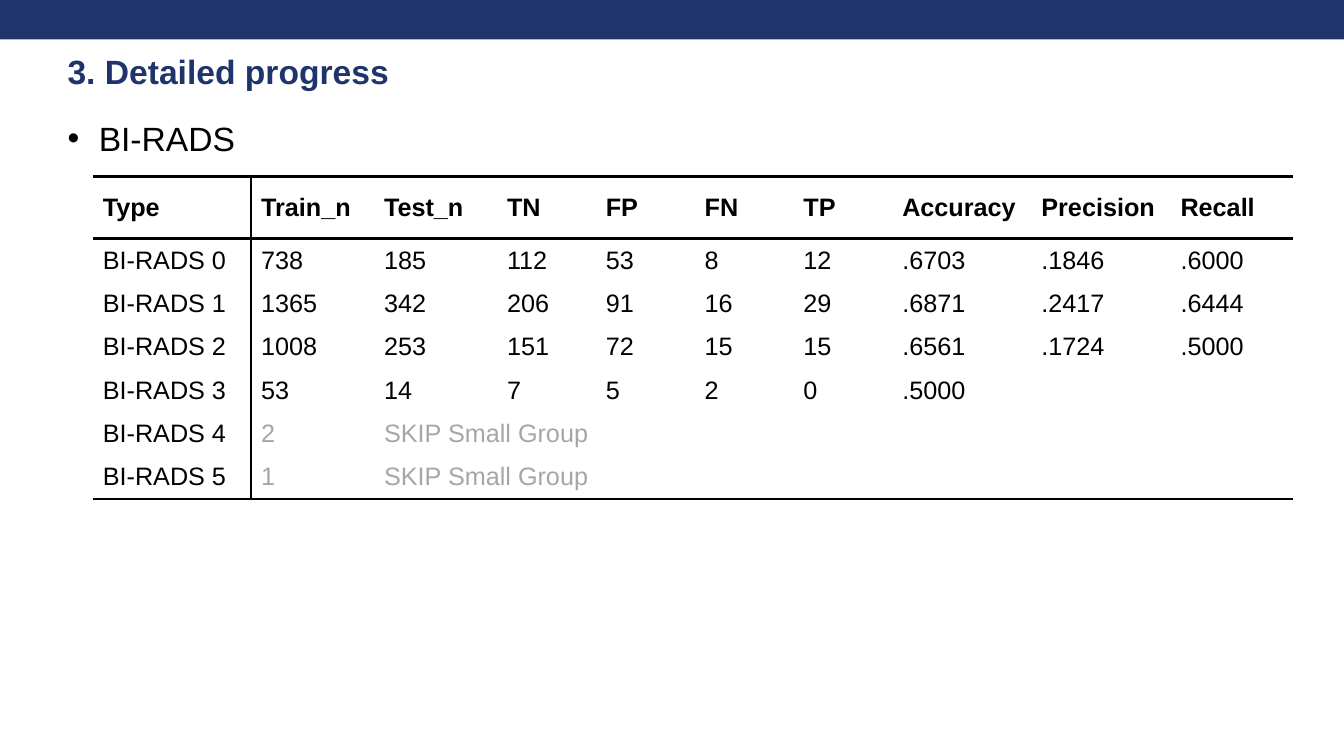
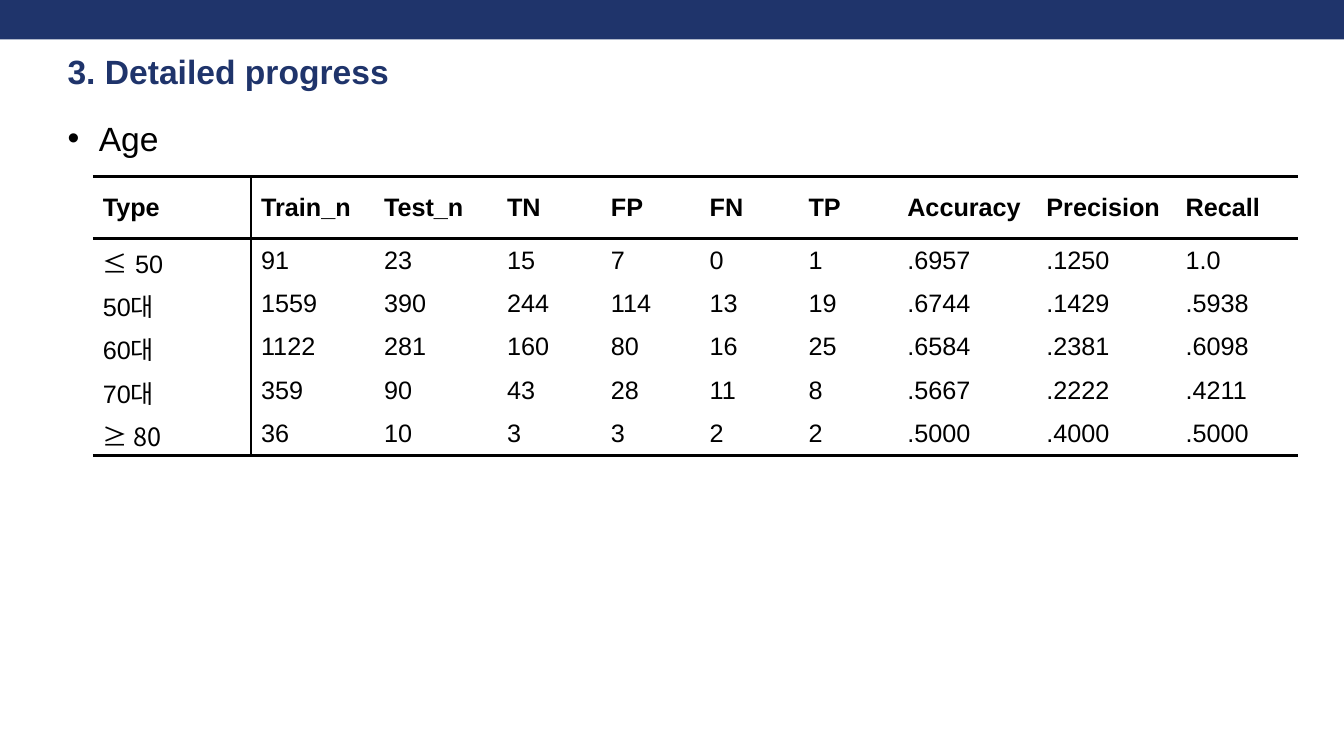
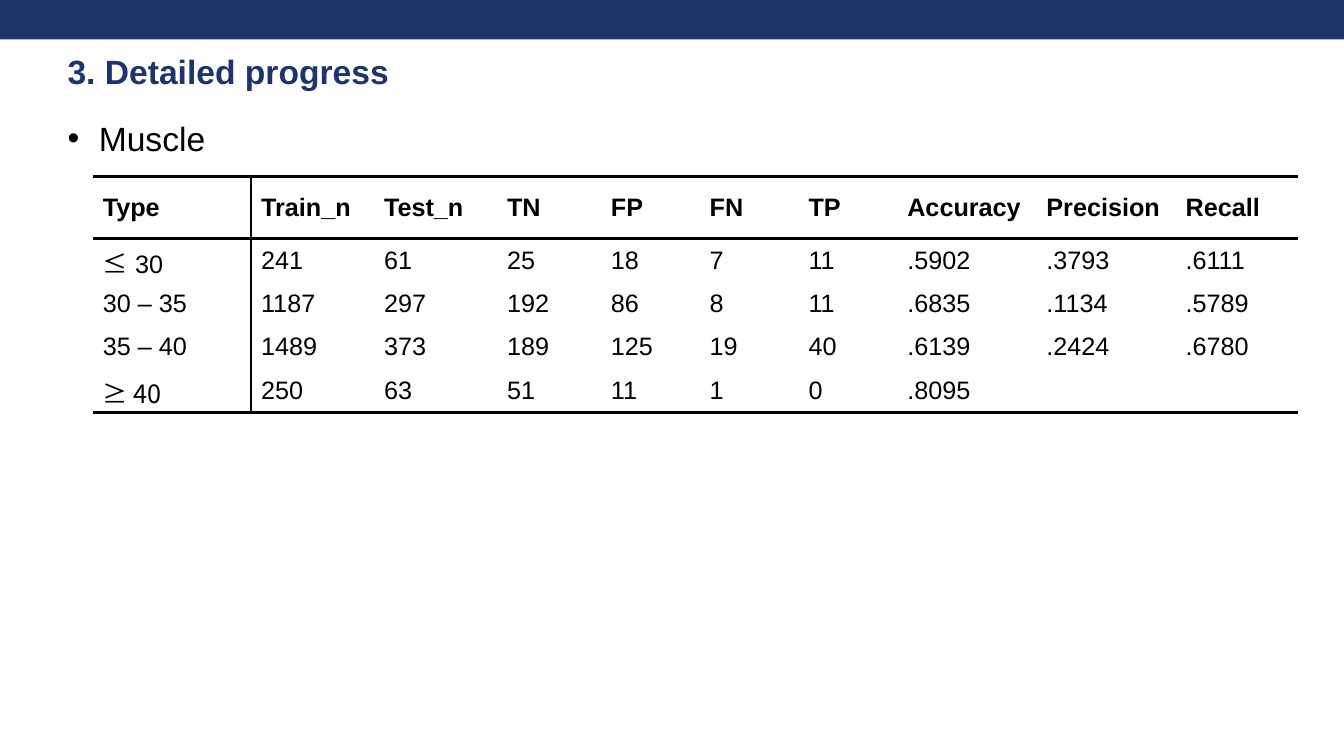
from dataclasses import dataclass

import pptx
import pptx.dml.color
import pptx.enum.shapes
import pptx.enum.text
import pptx.oxml
import pptx.oxml.ns
import pptx.util
from pptx.util import Inches


@dataclass(frozen=True)
class Theme:
    navy: str = "1F346B"
    black: str = "000000"
    muted: str = "A6A6A6"
    font: str = "Arial"
    symbol_font: str = "Noto Sans CJK KR"
    heading_size: int = 24
    table_size: int = 18
    thick_rule: float = 2.25
    thin_rule: float = 1


THEME = Theme()
SLIDE_WIDTH, SLIDE_HEIGHT = 13.33, 7.5
SKIPPED = "SKIP Small Group"
HEADER = ["Type", "Train_n", "Test_n", "TN", "FP", "FN", "TP",
          "Accuracy", "Precision", "Recall"]

BI_RADS_ROWS = [
    ["BI-RADS 0", "738", "185", "112", "53", "8", "12", ".6703", ".1846", ".6000"],
    ["BI-RADS 1", "1365", "342", "206", "91", "16", "29", ".6871", ".2417", ".6444"],
    ["BI-RADS 2", "1008", "253", "151", "72", "15", "15", ".6561", ".1724", ".5000"],
    ["BI-RADS 3", "53", "14", "7", "5", "2", "0", ".5000"],
    ["BI-RADS 4", "2", SKIPPED],
    ["BI-RADS 5", "1", SKIPPED],
]
AGE_ROWS = [
    [[("≤", THEME.symbol_font), (" 50", THEME.font)],
     "91", "23", "15", "7", "0", "1", ".6957", ".1250", "1.0"],
    ["50대", "1559", "390", "244", "114", "13", "19", ".6744", ".1429", ".5938"],
    ["60대", "1122", "281", "160", "80", "16", "25", ".6584", ".2381", ".6098"],
    ["70대", "359", "90", "43", "28", "11", "8", ".5667", ".2222", ".4211"],
    [[("≥ 80", THEME.symbol_font)],
     "36", "10", "3", "3", "2", "2", ".5000", ".4000", ".5000"],
]
MUSCLE_ROWS = [
    [[("≤", THEME.symbol_font), (" 30", THEME.font)],
     "241", "61", "25", "18", "7", "11", ".5902", ".3793", ".6111"],
    ["30 – 35", "1187", "297", "192", "86", "8", "11", ".6835", ".1134", ".5789"],
    ["35 – 40", "1489", "373", "189", "125", "19", "40", ".6139", ".2424", ".6780"],
    [[("≥ 40", THEME.symbol_font)], "250", "63", "51", "11", "1", "0", ".8095"],
]


def rgb(color):
    return pptx.dml.color.RGBColor.from_string(color)


def add_element(parent, tag, **attributes):
    element = pptx.oxml.parse_xml(f"<{tag} {pptx.oxml.ns.nsdecls('a')}/>")
    for name, value in attributes.items():
        element.set(name, str(value))
    parent.append(element)
    return element


def write_text(para, text, size=THEME.table_size, color=THEME.black, bold=False):
    """Write a string, or a list of (text, font) spans, into a paragraph."""
    spans = [(text, THEME.font)] if isinstance(text, str) else text
    for words, font in spans:
        span = para.add_run()
        span.text = words
        span.font.name = font
        span.font.size = pptx.util.Pt(size)
        span.font.bold = bold
        span.font.color.rgb = rgb(color)
        add_element(span.font._element, "a:ea", typeface=THEME.symbol_font)


def add_text_box(page, left, top, width, height, inset_top=0):
    box = page.shapes.add_textbox(Inches(left), Inches(top), Inches(width), Inches(height))
    frame = box.text_frame
    frame.word_wrap = True
    frame.margin_left = frame.margin_right = frame.margin_bottom = 0
    frame.margin_top = Inches(inset_top)
    return frame.paragraphs[0]


def add_band(page):
    band = page.shapes.add_shape(pptx.enum.shapes.MSO_SHAPE.RECTANGLE, 0, 0,
                                 Inches(SLIDE_WIDTH), Inches(0.39))
    band.shadow.inherit = False
    band.fill.solid()
    band.fill.fore_color.rgb = rgb(THEME.navy)
    band.line.fill.background()


def add_title(page, text):
    para = add_text_box(page, 0.67, 0.49, 12.42, 0.42, inset_top=0.01)
    write_text(para, text, size=THEME.heading_size, color=THEME.navy, bold=True)


def add_bullet(page, text):
    para = add_text_box(page, 0.67, 1.17, 6.5, 0.4)
    properties = para._p.get_or_add_pPr()
    properties.set("marL", str(Inches(0.31)))
    properties.set("indent", str(-Inches(0.31)))
    add_element(properties, "a:buFont", typeface=THEME.font)
    add_element(properties, "a:buChar", char="•")
    write_text(para, text, size=THEME.heading_size)


def set_borders(cell, left=0, right=0, top=0, bottom=0):
    """Draw each side at its width in points; zero means no line."""
    properties = cell._tc.get_or_add_tcPr()
    for side, width in zip("LRTB", (left, right, top, bottom)):
        line = add_element(properties, f"a:ln{side}", w=pptx.util.Pt(width))
        if width:
            fill = add_element(line, "a:solidFill")
            add_element(fill, "a:srgbClr", val=THEME.black)
        else:
            add_element(line, "a:noFill")


def add_results_table(page, body_rows, negative_width):
    """Add the table; negative_width is the width of the TN column."""
    widths = [1.57, 1.22, 1.22, negative_width, 0.98, 0.98, 0.98, 1.38, 1.38, 1.22]
    rows = [HEADER] + body_rows
    heights = [0.62] + [0.43] * len(body_rows)
    table = page.shapes.add_table(
        len(rows), len(widths), Inches(0.92), Inches(1.75),
        Inches(sum(widths)), Inches(sum(heights))).table
    table.first_row = table.horz_banding = False
    for column, width in zip(table.columns, widths):
        column.width = Inches(width)
    for table_row, height in zip(table.rows, heights):
        table_row.height = Inches(height)

    for row_index, row in enumerate(rows):
        skipped = SKIPPED in row
        for column_index in range(len(widths)):
            cell = table.cell(row_index, column_index)
            set_borders(
                cell,
                left=THEME.thin_rule if column_index == 1 else 0,
                right=THEME.thin_rule if column_index == 0 else 0,
                top=THEME.thick_rule if row_index <= 1 else 0,
                bottom=THEME.thick_rule if row_index in (0, len(rows) - 1) else 0)
            cell.fill.background()
            cell.vertical_anchor = pptx.enum.text.MSO_ANCHOR.MIDDLE
            if column_index < len(row):
                write_text(cell.text_frame.paragraphs[0], row[column_index],
                           color=THEME.muted if skipped and column_index else THEME.black,
                           bold=row_index == 0)
        if skipped:
            table.cell(row_index, 2).merge(table.cell(row_index, 4))


def add_results_page(deck, topic, body_rows, negative_width):
    page = deck.slides.add_slide(deck.slide_layouts[6])
    add_band(page)
    add_title(page, "3. Detailed progress")
    add_bullet(page, topic)
    add_results_table(page, body_rows, negative_width)


def main():
    deck = pptx.Presentation()
    deck.slide_width = Inches(SLIDE_WIDTH)
    deck.slide_height = Inches(SLIDE_HEIGHT)
    add_results_page(deck, "BI-RADS", BI_RADS_ROWS, negative_width=0.98)
    add_results_page(deck, "Age", AGE_ROWS, negative_width=1.03)
    add_results_page(deck, "Muscle", MUSCLE_ROWS, negative_width=1.03)
    deck.save("out.pptx")


if __name__ == "__main__":
    main()
